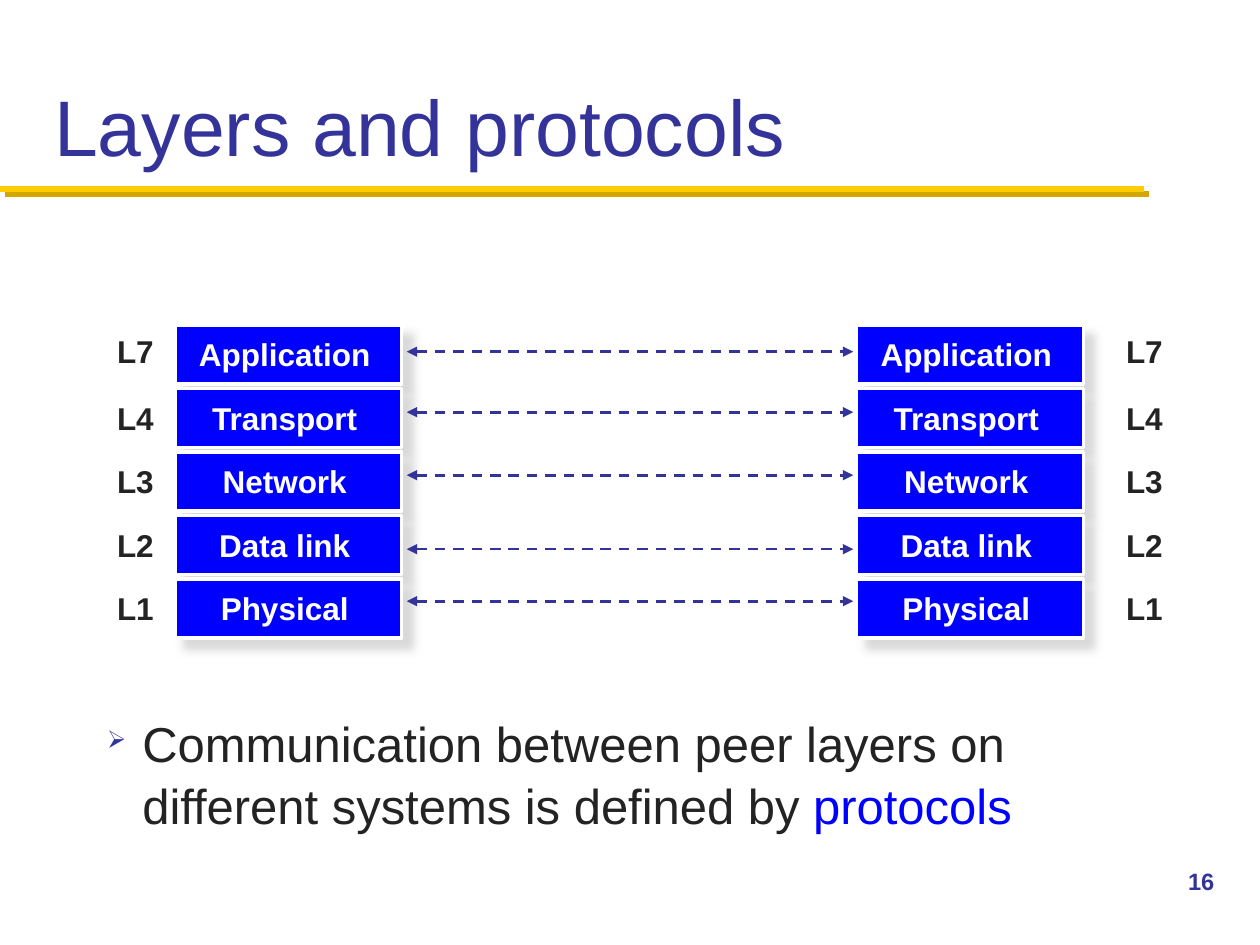
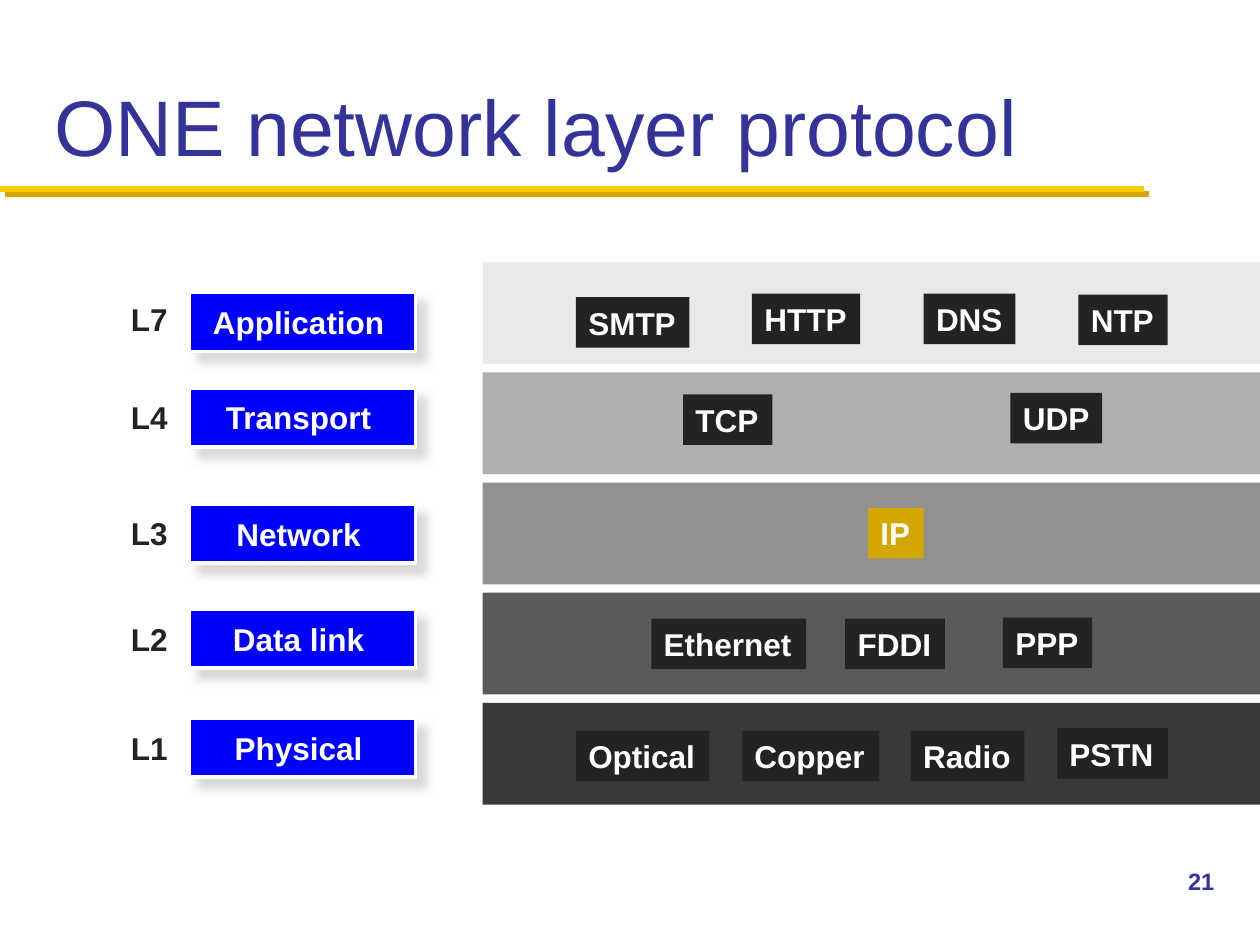
from dataclasses import dataclass

from lxml import etree
from pptx import Presentation
from pptx import util as u
from pptx.dml.color import RGBColor
from pptx.enum import dml, shapes, text
from pptx.oxml import ns

Cm = u.Cm


@dataclass(frozen=True)
class Theme:
    font: str = "Arial"
    navy: str = "333399"
    blue: str = "0000FF"
    gold: str = "FFCB05"
    ochre: str = "D3A600"
    ink: str = "232323"
    white: str = "FFFFFF"
    shade: str = "CECECE"
    bands: tuple = ("E9E9E9", "B0B0B0", "919191", "5A5A5A", "393939")
    title: float = 45
    body: float = 28
    tag: float = 18
    page: float = 13.5


T = Theme()
INSET = (0.25, 0.13, 0.25, 0.13)
LAYERS = (
    ("L7", "Application", 4.29),
    ("L4", "Transport", 3.68),
    ("L3", "Network", 3.23),
    ("L2", "Data link", 3.38),
    ("L1", "Physical", 3.3),
)
PEERS = (7.09, 8.31, 9.58, 11.07, 12.12)
STACK = (5.9, 7.82, 10.16, 12.28, 14.48)
CHIPS = (
    ("SMTP", 11.61, 5.99, 2.29),
    ("HTTP", 15.16, 5.92, 2.18),
    ("DNS", 18.62, 5.92, 1.85),
    ("NTP", 21.74, 5.94, 1.8),
    ("TCP", 13.77, 7.95, 1.8),
    ("UDP", 20.37, 7.92, 1.85),
    ("IP", 17.5, 10.24, 1.12),
    ("Ethernet", 13.13, 12.47, 3.12),
    ("FDDI", 17.04, 12.47, 2.01),
    ("PPP", 20.22, 12.45, 1.8),
    ("Optical", 11.61, 14.73, 2.69),
    ("Copper", 14.96, 14.73, 2.77),
    ("Radio", 18.36, 14.73, 2.29),
    ("PSTN", 21.31, 14.68, 2.24),
)


def rgb(code):
    return RGBColor.from_string(code)


def add(node, tag, **attrs):
    return etree.SubElement(node, ns.qn(tag), attrs)


def style(run, size, color, bold=False):
    run.font.name = T.font
    run.font.size = u.Pt(size)
    run.font.bold = bold
    run.font.color.rgb = rgb(color)


def shadow(item, color, alpha, blur, dist):
    node = add(item.element.spPr, "a:effectLst")
    node = add(node, "a:outerShdw", blurRad=str(u.Pt(blur)),
               dist=str(u.Pt(dist)), dir="2700000", algn="ctr", rotWithShape="0")
    node = add(node, "a:srgbClr", val=color)
    add(node, "a:alpha", val=str(alpha * 1000))


def write(item, words, size, color, bold=False, wrap=True, inset=INSET):
    frame = item.text_frame
    frame.text = words
    frame.word_wrap = wrap
    frame.vertical_anchor = text.MSO_ANCHOR.TOP
    (frame.margin_left, frame.margin_top,
     frame.margin_right, frame.margin_bottom) = map(Cm, inset)
    para = frame.paragraphs[0]
    para.alignment = text.PP_ALIGN.LEFT
    for run in para.runs:
        style(run, size, color, bold)
    return frame


def note(slide, box, words, size, color, bold=False):
    item = slide.shapes.add_textbox(*map(Cm, box))
    return write(item, words, size, color, bold)


def block(home, box, fill):
    item = home.shapes.add_shape(shapes.MSO_SHAPE.RECTANGLE, *map(Cm, box))
    item.fill.solid()
    item.fill.fore_color.rgb = rgb(fill)
    item.line.fill.background()
    return item


def plain(home, box, fill):
    item = block(home, box, fill)
    item.shadow.inherit = False
    return item


def tag(slide, words, x, y, wide, fill, color):
    item = plain(slide, (x, y, wide, 1.02), fill)
    frame = write(item, words, T.tag, color, True, False)
    frame.auto_size = text.MSO_AUTO_SIZE.SHAPE_TO_FIT_TEXT


def layer(slide, words, x, y, wide):
    group = slide.shapes.add_group_shape()
    edge = block(group, (x, y, 4.57, 1.19), T.blue)
    edge.line.color.rgb = rgb(T.white)
    edge.line.width = u.Pt(2)
    shadow(edge, T.shade, 75, 5, 8)
    face = plain(group, (x + (4.57 - wide) / 2, y + 0.1, wide, 0.99), T.blue)
    frame = write(face, words, T.tag, T.white, True, False,
                  (0.1, 0.1, 0.25, 0.1))
    frame.vertical_anchor = text.MSO_ANCHOR.MIDDLE
    frame.paragraphs[0].alignment = text.PP_ALIGN.CENTER


def stack(slide, x, side, tops):
    for (code, name, wide), y in zip(LAYERS, tops):
        layer(slide, name, x, y, wide)
        drop = 0.02 if code == "L7" else 0.08
        tag(slide, code, side, y + drop, 1.27, T.white, T.ink)


def line(slide, x, end, y, color, width):
    item = slide.shapes.add_connector(
        shapes.MSO_CONNECTOR.STRAIGHT, Cm(x), Cm(y), Cm(end), Cm(y))
    item.line.color.rgb = rgb(color)
    item.line.width = u.Pt(width)
    return item


def arrow(slide, y):
    item = line(slide, 8.2, 17.2, y, T.navy, 1.5)
    item.line.dash_style = dml.MSO_LINE.DASH
    pen = item.element.spPr.find(ns.qn("a:ln"))
    for end in ("a:headEnd", "a:tailEnd"):
        add(pen, end, type="triangle")
    add(item.element.spPr, "a:effectLst")


def bullet(para):
    props = para._p.get_or_add_pPr()
    props.set("marL", str(Cm(0.71)))
    props.set("indent", str(-Cm(0.71)))
    add(add(props, "a:buClr"), "a:srgbClr", val=T.navy)
    add(props, "a:buSzPct", val="50000")
    add(props, "a:buChar", char="\u27a2")


def page(deck, title, number):
    slide = deck.slides.add_slide(deck.slide_layouts[6])
    rule = line(slide, 0, 23.06, 3.81, T.gold, 3.5)
    shadow(rule, T.ochre, 100, 0, 4.2)
    head = note(slide, (0.84, 0.43, 23.7, 3.18), title, T.title, T.navy)
    head.vertical_anchor = text.MSO_ANCHOR.BOTTOM
    note(slide, (23.7, 17.35, 1.7, 1.27), number, T.page, T.navy, True)
    return slide


def peers(deck):
    slide = page(deck, "Layers and protocols", "16")
    tops = [6.55 + 1.28 * i for i in range(len(LAYERS))]
    stack(slide, 3.53, 2.11, tops)
    for y in PEERS:
        arrow(slide, y)
    stack(slide, 17.27, 22.45, tops)
    words = ("Communication between peer layers on\v"
             "different systems is defined by ")
    frame = note(slide, (1.91, 14.2, 22.02, 2.51), words, T.body, T.ink)
    para = frame.paragraphs[0]
    para.line_spacing = 1.05
    bullet(para)
    run = para.add_run()
    run.text = "protocols"
    style(run, T.body, T.blue)


def network(deck):
    slide = page(deck, "ONE network layer protocol", "21")
    for i, fill in enumerate(T.bands):
        plain(slide, (9.73, 5.29 + 2.22 * i, 15.67, 2.05), fill)
    stack(slide, 3.81, 2.39, STACK)
    for name, x, y, wide in CHIPS:
        fill = T.ochre if name == "IP" else T.ink
        tag(slide, name, x, y, wide, fill, T.white)


def main():
    deck = Presentation()
    deck.slide_width = Cm(25.4)
    deck.slide_height = Cm(19.05)
    peers(deck)
    network(deck)
    deck.save("out.pptx")


main()
